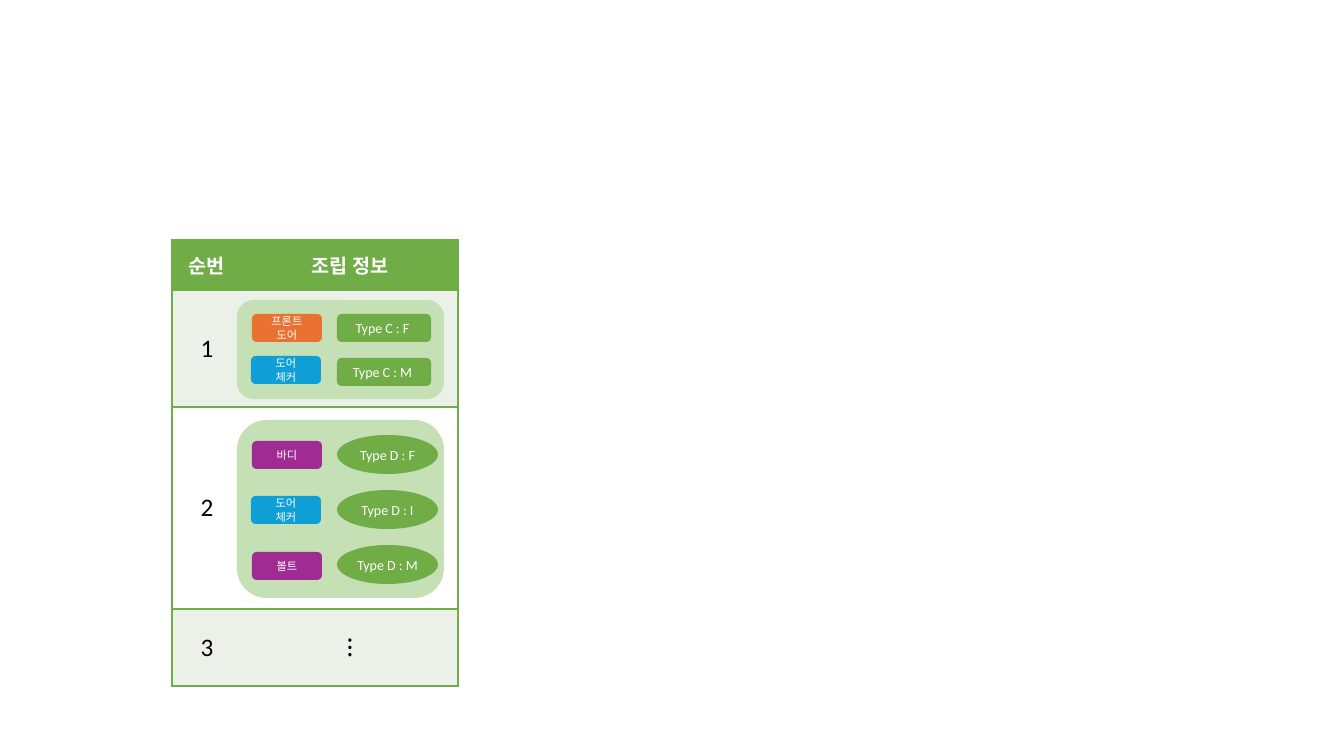
from lxml import etree
from pptx import Presentation
from pptx.dml.color import RGBColor
from pptx.enum.shapes import MSO_SHAPE
from pptx.enum.text import MSO_ANCHOR, PP_ALIGN
from pptx.oxml.ns import qn
from pptx.util import Pt

ROUNDED = MSO_SHAPE.ROUNDED_RECTANGLE
ELLIPSE = MSO_SHAPE.OVAL
CENTER = PP_ALIGN.CENTER
MIDDLE = MSO_ANCHOR.MIDDLE

GREEN = RGBColor(0x70, 0xAD, 0x47)
PALE_GREEN = RGBColor(0xC5, 0xE0, 0xB4)
BAND = RGBColor(0xEB, 0xF1, 0xE9)
WHITE = RGBColor(0xFF, 0xFF, 0xFF)
BLACK = RGBColor(0x00, 0x00, 0x00)
ORANGE = RGBColor(0xE9, 0x71, 0x32)
BLUE = RGBColor(0x0F, 0x9E, 0xD5)
PURPLE = RGBColor(0xA0, 0x2B, 0x93)

FONT = "Calibri"
EMU_PER_PX = 914400 / 100.8
SLIDE_SIZE = (1344, 756)

TABLE_LEFT, TABLE_TOP = 172, 240
COLUMN_WIDTHS = [70, 216]
ROW_HEIGHTS = [50, 117, 202, 77]
ROWS = [("순번", "조립 정보"), ("1", ""), ("2", ""), ("3", "⁝")]

PANEL_LEFT, PANEL_WIDTH = 237, 207
TYPE_LEFT = 337
PART_SIZE = (70, 28)

# Panels: top, height, type shape, type size, first type top, step, labels
PANELS = [
    (420, 178, ELLIPSE, (101, 39), 435, 55,
     ["Type D : F", "Type D : I", "Type D : M"]),
    (300, 99, ROUNDED, (94, 28), 314, 44,
     ["Type C : F ", "Type C : M "]),
]
# Parts: left, top, text, colour
PARTS = [
    (252, 314, "프론트 도어", ORANGE),
    (251, 356, "도어\n체커", BLUE),
    (251, 496, "도어\n체커", BLUE),
    (252, 441, "바디", PURPLE),
    (252, 552, "볼트", PURPLE),
]


def px(length):
    return round(length * EMU_PER_PX)


def write_text(text_frame, text, size, color, bold=False):
    text_frame.text = text
    for paragraph in text_frame.paragraphs:
        paragraph.alignment = CENTER
        for run in paragraph.runs:
            run.font.name = FONT
            run.font.size = Pt(size)
            run.font.bold = bold
            run.font.color.rgb = color


def set_borders(cell, open_side):
    """Draw a green line on every side of the cell except open_side."""
    properties = cell._tc.get_or_add_tcPr()
    for side in ("lnL", "lnR", "lnT", "lnB"):
        line = etree.SubElement(properties, qn(f"a:{side}"), w=str(Pt(1)))
        if side == open_side:
            etree.SubElement(line, qn("a:noFill"))
        else:
            fill = etree.SubElement(line, qn("a:solidFill"))
            etree.SubElement(fill, qn("a:srgbClr"), val=str(GREEN))


def add_assembly_table(slide):
    table = slide.shapes.add_table(
        len(ROWS), len(COLUMN_WIDTHS), px(TABLE_LEFT), px(TABLE_TOP),
        px(sum(COLUMN_WIDTHS)), px(sum(ROW_HEIGHTS))).table
    table.first_row = False
    table.horz_banding = False
    for column, width in zip(table.columns, COLUMN_WIDTHS):
        column.width = px(width)
    for row_index, texts in enumerate(ROWS):
        table.rows[row_index].height = px(ROW_HEIGHTS[row_index])
        is_header = row_index == 0
        row_fill = GREEN if is_header else BAND if row_index % 2 else WHITE
        for column_index, text in enumerate(texts):
            cell = table.cell(row_index, column_index)
            set_borders(cell, "lnL" if column_index else "lnR")
            cell.fill.solid()
            cell.fill.fore_color.rgb = row_fill
            cell.vertical_anchor = MIDDLE
            write_text(cell.text_frame, text, 14 if is_header else 18,
                       WHITE if is_header else BLACK, is_header)


def add_block(shapes, kind, left, top, size, color):
    width, height = size
    shape = shapes.add_shape(kind, px(left), px(top), px(width), px(height))
    shape.shadow.inherit = False
    shape.fill.solid()
    shape.fill.fore_color.rgb = color
    shape.line.fill.background()
    shape.text_frame.word_wrap = True
    shape.text_frame.vertical_anchor = MIDDLE
    return shape


def add_panel(slide, top, height, kind, size, first_top, step, labels):
    shapes = slide.shapes.add_group_shape().shapes
    add_block(shapes, ROUNDED, PANEL_LEFT, top, (PANEL_WIDTH, height), PALE_GREEN)
    for index, label in enumerate(labels):
        block = add_block(shapes, kind, TYPE_LEFT, first_top + index * step,
                          size, GREEN)
        frame = block.text_frame
        frame.margin_left = frame.margin_right = 0
        frame.margin_top = frame.margin_bottom = 0
        write_text(frame, label, 10, WHITE)


def main():
    presentation = Presentation()
    presentation.slide_width, presentation.slide_height = map(px, SLIDE_SIZE)
    slide = presentation.slides.add_slide(presentation.slide_layouts[6])
    add_assembly_table(slide)
    for panel in PANELS:
        add_panel(slide, *panel)
    for left, top, text, color in PARTS:
        part = add_block(slide.shapes, ROUNDED, left, top, PART_SIZE, color)
        write_text(part.text_frame, text, 8, WHITE)
    presentation.save("out.pptx")


if __name__ == "__main__":
    main()
